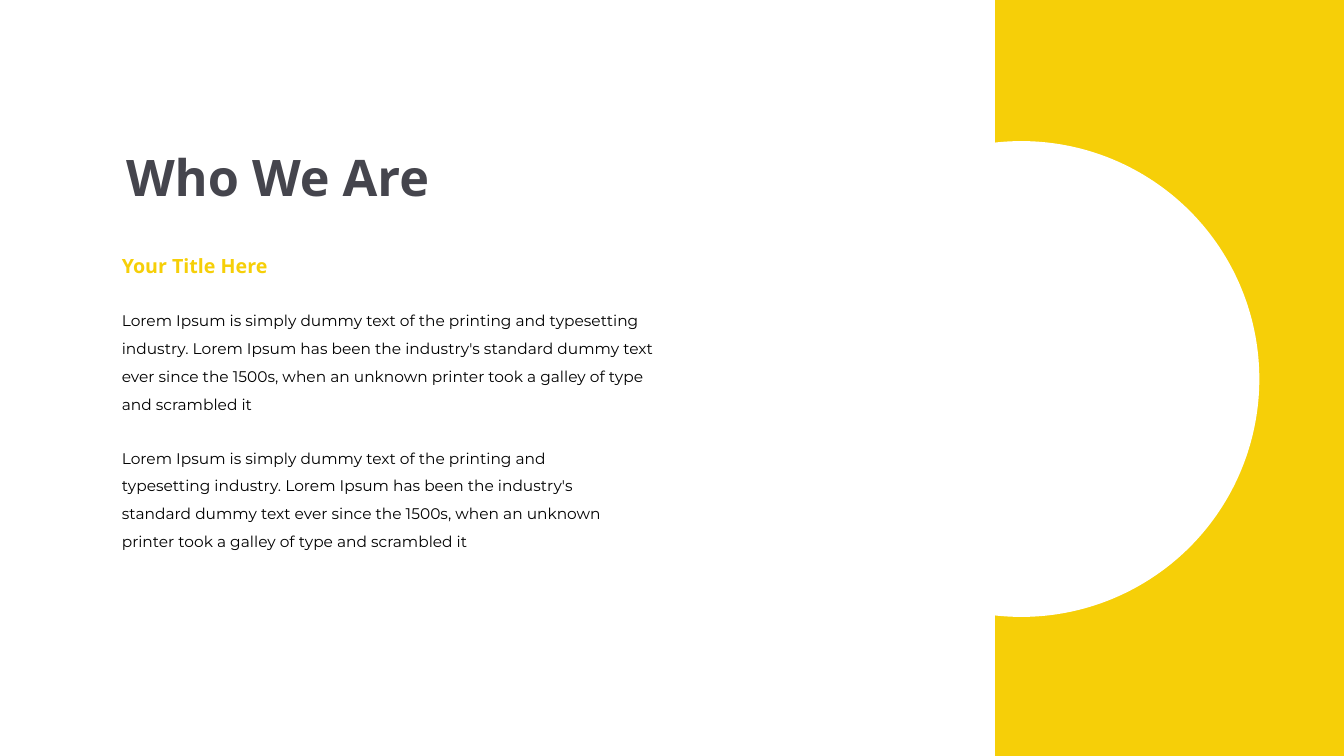
from pptx import Presentation
from pptx.dml.color import RGBColor
from pptx.enum.shapes import MSO_SHAPE as Preset
from pptx.enum.text import MSO_ANCHOR as Anchor, MSO_AUTO_SIZE as AutoSize, PP_ALIGN as Align
from pptx.util import Inches, Pt

YELLOW, WHITE, BLACK, CHARCOAL = "F6CF08", "FFFFFF", "000000", "45454D"
LOREM = (
    "Lorem Ipsum is simply dummy text of the printing and typesetting industry. "
    "Lorem Ipsum has been the industry's standard dummy text ever since the 1500s, "
    "when an unknown printer took a galley of type and scrambled it"
)


def color(hex_code):
    """Turn a hex string into a colour."""
    return RGBColor.from_string(hex_code)


def add_panel(slide, preset, left, top, width, height, fill):
    """Add a plain filled shape without outline or shadow."""
    panel = slide.shapes.add_shape(
        preset, Inches(left), Inches(top), Inches(width), Inches(height))
    panel.shadow.inherit = False
    panel.fill.solid()
    panel.fill.fore_color.rgb = color(fill)
    panel.line.fill.background()


def write(holder, text, size, font, fill, bold=False, spacing=1.0):
    """Write one left-aligned paragraph into a box that grows with its text."""
    frame = holder.text_frame
    frame.text = text
    frame.word_wrap = True
    frame.auto_size = AutoSize.SHAPE_TO_FIT_TEXT
    frame.vertical_anchor = Anchor.TOP
    paragraph = frame.paragraphs[0]
    paragraph.alignment = Align.LEFT
    paragraph.line_spacing = spacing
    paragraph.font.size = Pt(size)
    paragraph.font.name = font
    paragraph.font.bold = bold
    paragraph.font.color.rgb = color(fill)


def add_title(slide, text):
    """Place and format the slide title."""
    title = slide.shapes.title
    title.left, title.top = Inches(1.15), Inches(1.4)
    title.width, title.height = Inches(8.14), Inches(0.71)
    write(title, text, 36, "Open Sans", CHARCOAL, bold=True)


def add_text(slide, top, width, height, *style, **options):
    """Add a text box on the left margin of the text column."""
    box = slide.shapes.add_textbox(
        Inches(1.11), Inches(top), Inches(width), Inches(height))
    write(box, *style, **options)


def main():
    """Build and save the slide."""
    deck = Presentation()
    deck.slide_width, deck.slide_height = Inches(13.33), Inches(7.5)
    slide = deck.slides.add_slide(deck.slide_layouts[5])

    add_panel(slide, Preset.RECTANGLE, 9.87, 0, 3.46, 7.5, YELLOW)
    add_panel(slide, Preset.OVAL, 7.77, 1.4, 4.72, 4.72, WHITE)

    add_title(slide, "Who We Are")
    add_text(slide, 2.47, 3.03, 0.34, "Your Title Here", 14, "Open Sans", YELLOW, bold=True)
    for top, width in ((2.95, 5.55), (4.31, 5.05)):
        add_text(slide, top, width, 1.21, LOREM, 11, "Montserrat", BLACK, spacing=1.5)

    deck.save("out.pptx")


if __name__ == "__main__":
    main()
